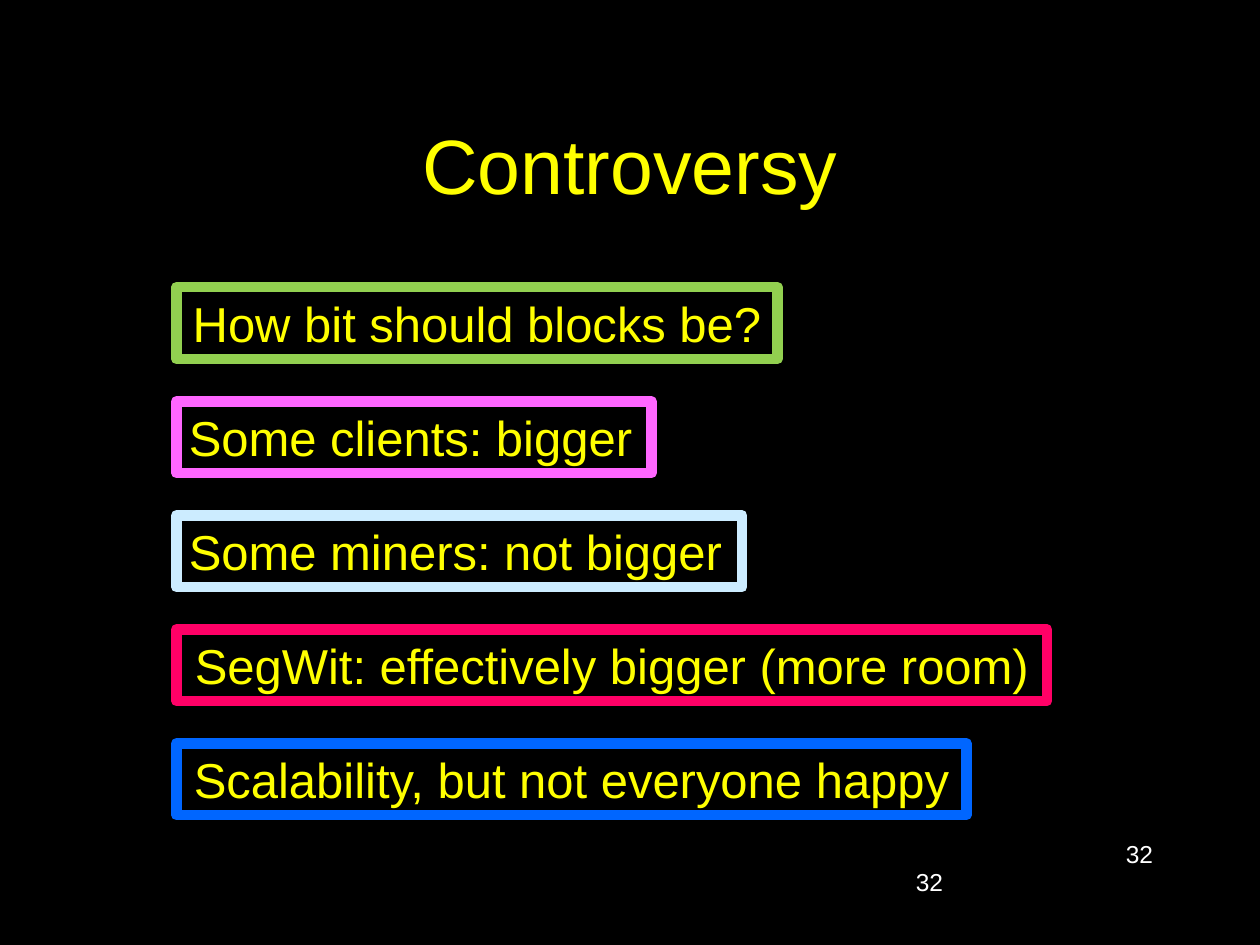
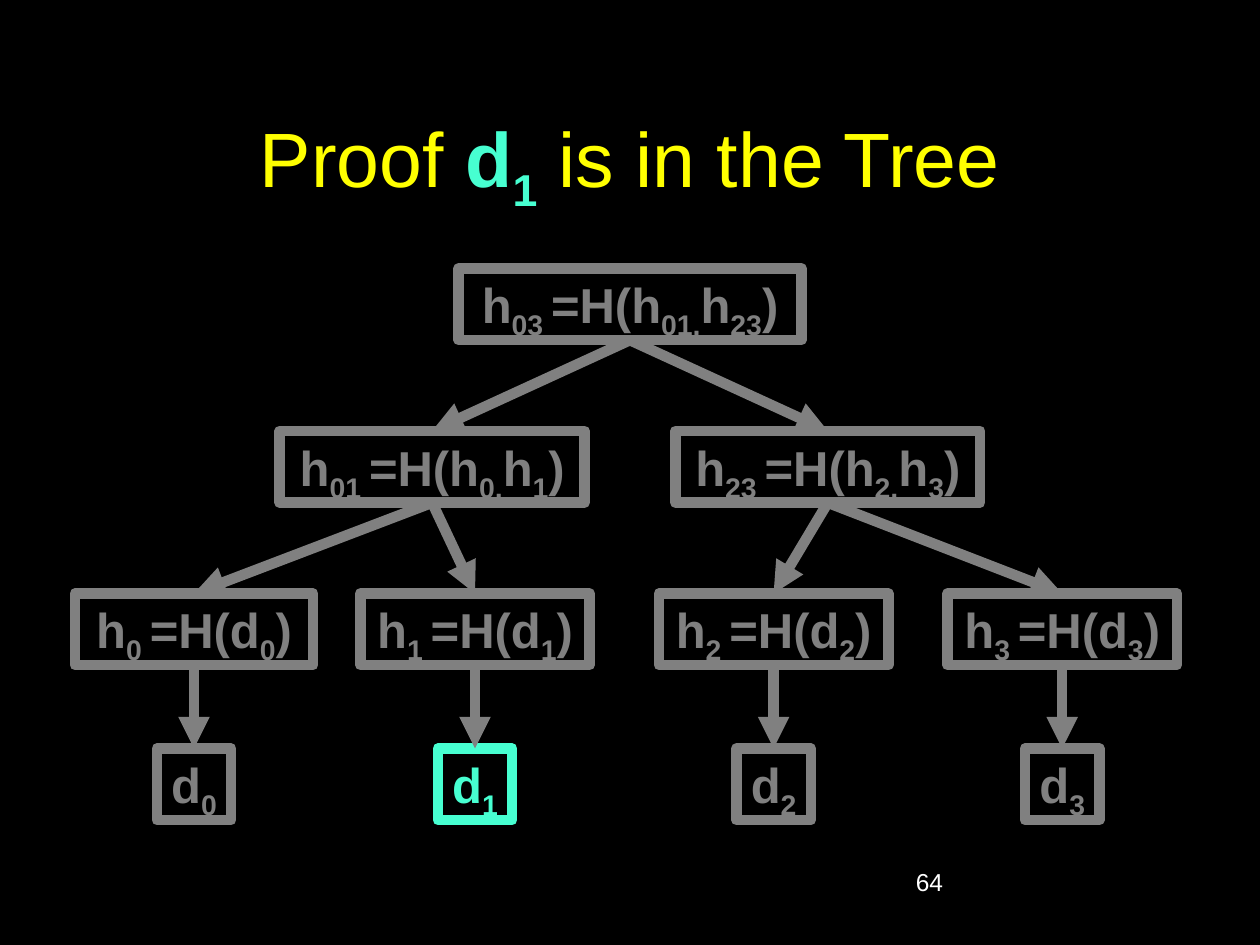
from lxml import etree
from pptx import Presentation
from pptx.dml.color import RGBColor
from pptx.enum.shapes import MSO_CONNECTOR as Connector, MSO_SHAPE as Shape
from pptx.enum.text import MSO_ANCHOR as Anchor, MSO_AUTO_SIZE as AutoSize, PP_ALIGN as Align
from pptx.oxml.ns import qn
from pptx.util import Inches, Pt

# Shared style
BLACK, YELLOW, WHITE = "000000", "FFFF00", "FFFFFF"
GREY, TEAL = "808080", "47FFD1"
FONT = "Arial"
BOX_HEIGHT = 0.57
BORDER = 6

# Slide 1: text, width, border colour, alignment
CONTROVERSY = [
    ("How bit should blocks be?", 4.77, "92D050", Align.CENTER),
    ("Some clients: bigger", 3.77, "FF66FF", Align.LEFT),
    ("Some miners: not bigger", 4.49, "CCECFF", Align.LEFT),
    ("SegWit: effectively bigger (more room)", 6.91, "FF0066", Align.CENTER),
    ("Scalability, but not everyone happy", 6.27, "0066FF", Align.CENTER),
]
CLAIM_LEFT, FIRST_CLAIM_TOP, LAST_CLAIM_TOP = 1.4, 2.28, 5.9

# Slide 2: every second piece between bars is a subscript
PROOF_TITLE = [("Proof ", YELLOW), ("d|1", TEAL), (" is in the Tree", YELLOW)]
LEVEL_TOPS = [2.13, 3.42, 4.71, 5.94]
# name: (label, level, centre, width, parent)
TREE = {
    "h03": ("h|03 |=H(h|01,|h|23|)", 0, 5.0, 2.72, None),
    "h01": ("h|01 |=H(h|0,|h|1|)", 1, 3.43, 2.42, "h03"),
    "h23": ("h|23 |=H(h|2,|h|3|)", 1, 6.57, 2.42, "h03"),
}
LEAVES = [(1.54, 1.89, "h01"), (3.77, 1.82, "h01"),
          (6.14, 1.82, "h23"), (8.43, 1.82, "h23")]  # centre, hash width, parent
for i, (centre, hash_width, parent) in enumerate(LEAVES):
    TREE[f"h{i}"] = (f"h|{i} |=H(d|{i}|)", 2, centre, hash_width, parent)
    TREE[f"d{i}"] = (f"d|{i}", 3, centre, 0.59, f"h{i}")
PROVEN = "d1"


def rgb(value):
    return RGBColor.from_string(value)


def add_runs(paragraph, label, size, color, bold=False):
    for i, piece in enumerate(label.split("|")):
        run = paragraph.add_run()
        run.text = piece
        font = run.font
        font.name, font.size, font.bold = FONT, Pt(size), bold
        font.color.rgb = rgb(color)
        if i % 2:
            run._r.get_or_add_rPr().set("baseline", "-25000")


def add_text(slide, left, top, width, height, pieces, size, align, anchor=Anchor.TOP):
    frame = slide.shapes.add_textbox(
        Inches(left), Inches(top), Inches(width), Inches(height)).text_frame
    frame.word_wrap = True
    frame.vertical_anchor = anchor
    paragraph = frame.paragraphs[0]
    paragraph.alignment = align
    for label, color in pieces:
        add_runs(paragraph, label, size, color, bold=color == TEAL)


def add_box(slide, left, top, width, label, border, color, align=Align.CENTER, bold=False):
    box = slide.shapes.add_shape(
        Shape.RECTANGLE, Inches(left), Inches(top), Inches(width), Inches(BOX_HEIGHT))
    box.shadow.inherit = False
    box.fill.solid()
    box.fill.fore_color.rgb = rgb(BLACK)
    box.line.color.rgb = rgb(border)
    box.line.width = Pt(BORDER)
    frame = box.text_frame
    frame.word_wrap = False
    frame.auto_size = AutoSize.SHAPE_TO_FIT_TEXT
    frame.vertical_anchor = Anchor.TOP
    frame.paragraphs[0].alignment = align
    add_runs(frame.paragraphs[0], label, 28, color, bold)
    return box


def add_arrow(slide, parent, child):
    arrow = slide.shapes.add_connector(Connector.STRAIGHT, 0, 0, 0, 0)
    arrow.begin_connect(parent, 2)
    arrow.end_connect(child, 0)
    arrow.line.color.rgb = rgb(GREY)
    arrow.line.width = Pt(BORDER)
    etree.SubElement(arrow.line._get_or_add_ln(), qn("a:tailEnd"), type="triangle")
    etree.SubElement(arrow._element.spPr, qn("a:effectLst"))


def add_slide(prs, title, number):
    slide = prs.slides.add_slide(prs.slide_layouts[6])
    slide.background.fill.solid()
    slide.background.fill.fore_color.rgb = rgb(BLACK)
    add_text(slide, 0.75, 0.67, 8.5, 1.25, title, 44, Align.CENTER, Anchor.MIDDLE)
    add_number(slide, 6.83, number, Align.LEFT)
    return slide


def add_number(slide, top, number, align):
    add_text(slide, 7.17, top, 2.08, 0.5, [(number, WHITE)], 14, align)


def build_controversy(prs):
    slide = add_slide(prs, [("Controversy", YELLOW)], "32")
    add_number(slide, 6.61, "32", Align.RIGHT)
    pitch = (LAST_CLAIM_TOP - FIRST_CLAIM_TOP) / (len(CONTROVERSY) - 1)
    for i, (claim, width, border, align) in enumerate(CONTROVERSY):
        add_box(slide, CLAIM_LEFT, FIRST_CLAIM_TOP + i * pitch, width,
                claim, border, YELLOW, align)


def build_proof(prs):
    slide = add_slide(prs, PROOF_TITLE, "64")
    nodes = {}
    for name, (label, level, centre, width, _) in TREE.items():
        color = TEAL if name == PROVEN else GREY
        nodes[name] = add_box(slide, centre - width / 2, LEVEL_TOPS[level], width,
                              label, color, color, bold=True)
    # Arrows from each parent to its children
    for name, (*_, parent) in TREE.items():
        if parent:
            add_arrow(slide, nodes[parent], nodes[name])


def main():
    prs = Presentation()
    prs.slide_width, prs.slide_height = Inches(10), Inches(7.5)
    build_controversy(prs)
    build_proof(prs)
    prs.save("out.pptx")


if __name__ == "__main__":
    main()
